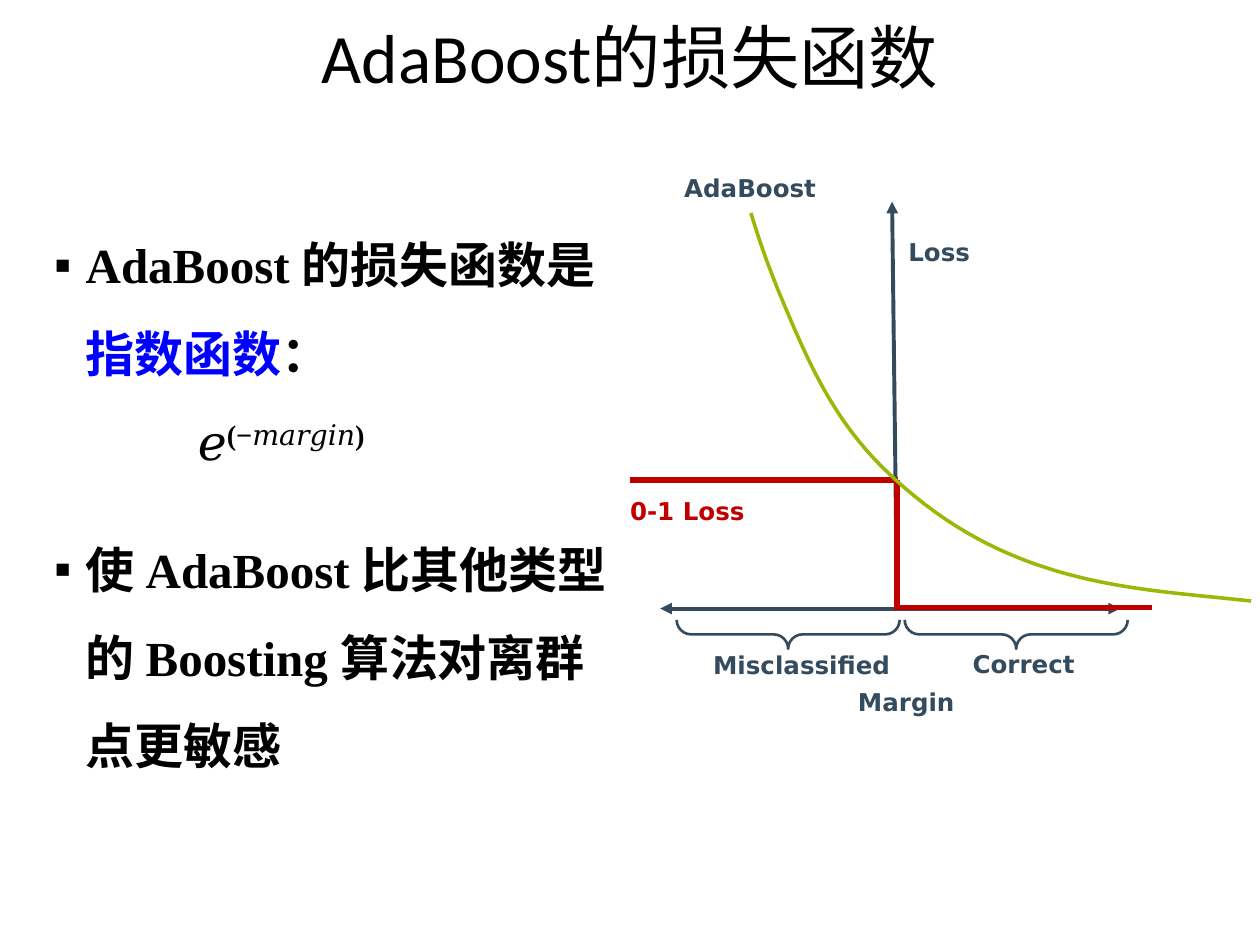
from dataclasses import dataclass
from itertools import pairwise

from lxml.etree import SubElement
from pptx import Presentation
from pptx.dml.color import RGBColor
from pptx.enum.shapes import MSO_CONNECTOR, MSO_SHAPE
from pptx.enum.text import MSO_ANCHOR, MSO_AUTO_SIZE as AutoSize, PP_ALIGN
from pptx.oxml.ns import qn
from pptx.util import Inches, Pt

COLORS = {"text": "000000", "accent": "0000FF", "axis": "344B5E",
          "step": "C00000", "curve": "9BB808"}


@dataclass
class Label:
    text: str
    left: float
    top: float
    width: float
    height: float = 0.25
    color: str = "axis"
    top_inset: float = 0.01
    space_before: float = 1
    indents: tuple[float, ...] = (0.01,)


@dataclass
class Line:
    start: tuple[float, float]
    end: tuple[float, float]
    color: str
    width: float
    ends: tuple[str, ...] = ()


@dataclass
class BodyPara:
    spans: tuple[tuple[str, str], ...]
    margin: float
    space_before: float
    bulleted: bool = True
    raised: int | None = None


@dataclass
class Knot:
    x: float
    y: float
    slope: float


LABELS = [
    Label("Loss", 7.2, 1.87, 0.53),
    Label("0-1 Loss", 4.99, 3.93, 0.95, color="step"),
    Label("Misclassified\nMargin", 5.65, 5.09, 2.14, 0.6,
          top_inset=0.07, space_before=4.5, indents=(0.01, 1.16)),
    Label("Correct", 7.71, 5.14, 0.83),
    Label("AdaBoost", 5.42, 1.36, 1.08),
]
LINES = [
    Line((7.12, 4.83), (7.08, 1.6), "axis", 2.25, ("tailEnd",)),
    Line((5.24, 4.83), (8.89, 4.83), "axis", 2.25, ("headEnd", "tailEnd")),
    Line((7.13, 4.82), (9.14, 4.82), "step", 3),
    Line((7.12, 4.84), (7.12, 3.81), "step", 3),
    Line((5, 3.81), (7.13, 3.81), "step", 3),
]
BODY = [
    BodyPara((("AdaBoost 的损失函数是", "text"), ("指数函数", "accent"),
              ("：", "text")), 0.26, 0.9),
    BodyPara((("𝑒", "text"), ("(−𝑚𝑎𝑟𝑔𝑖𝑛)", "text")), 1.15, 0,
             bulleted=False, raised=1),
    BodyPara((("使 AdaBoost 比其他类型的 Boosting 算法对离群点更敏感", "text"),),
             0.26, 22.8),
]
BRACE_LEFTS = (5.37, 7.18)
CURVE = [Knot(5.96, 1.69, 3.3), Knot(6.2, 2.36, 2.4), Knot(6.47, 2.96, 1.95),
         Knot(7.1, 3.8, 0.92), Knot(8.38, 4.53, 0.3), Knot(9.93, 4.77, 0.11)]


def rgb(name: str) -> RGBColor:
    return RGBColor.from_string(COLORS[name])


def style_font(font, face: str, size: float, color: str, bold: bool) -> None:
    font.name, font.size, font.bold = face, Pt(size), bold
    font.color.rgb = rgb(color)


def place(shape, left: float, top: float, width: float, height: float) -> None:
    shape.left, shape.top = Inches(left), Inches(top)
    shape.width, shape.height = Inches(width), Inches(height)


def set_frame(frame, top_inset: float) -> None:
    frame.margin_left = frame.margin_right = frame.margin_bottom = 0
    frame.margin_top = Inches(top_inset)
    frame.word_wrap = True
    frame.auto_size = AutoSize.SHAPE_TO_FIT_TEXT


def set_indent(para, margin: float, first: float = 0) -> None:
    props = para._p.get_or_add_pPr()
    props.set("marL", str(Inches(margin)))
    props.set("indent", str(Inches(first)))


def write_title(title) -> None:
    place(title, 0.5, 0.05, 9, 0.78)
    title.text_frame.text = "AdaBoost的损失函数"
    title.text_frame.auto_size = AutoSize.NONE
    title.text_frame.vertical_anchor = MSO_ANCHOR.MIDDLE
    para = title.text_frame.paragraphs[0]
    para.alignment = PP_ALIGN.CENTER
    style_font(para.runs[0].font, "Calibri", 39.6, "text", False)


def write_body(body) -> None:
    place(body, 0.42, 1.62, 4.58, 4.49)
    frame = body.text_frame
    set_frame(frame, 0.01)
    frame.text = "\n" * (len(BODY) - 1)
    for item, para in zip(BODY, frame.paragraphs):
        set_indent(para, item.margin, -0.25 if item.bulleted else 0)
        para.line_spacing = 1.5
        para.space_before = Pt(item.space_before)
        props = para._p.get_or_add_pPr()
        if item.bulleted:
            SubElement(props, qn("a:buChar"), char="▪")
        else:
            SubElement(props, qn("a:buNone"))
        for index, (text, color) in enumerate(item.spans):
            span = para.add_run()
            span.text = text
            style_font(span.font, "Times New Roman", 28, color, True)
            if index == item.raised:
                span.font._element.set("baseline", "30000")


def add_label(page, label: Label) -> None:
    box = page.shapes.add_textbox(0, 0, 0, 0)
    place(box, label.left, label.top, label.width, label.height)
    set_frame(box.text_frame, label.top_inset)
    box.text_frame.text = label.text
    for para, indent in zip(box.text_frame.paragraphs, label.indents):
        set_indent(para, indent)
        para.space_before = Pt(label.space_before)
        style_font(para.runs[0].font, "DejaVu Sans", 14, label.color, True)


def add_line(page, line: Line) -> None:
    points = [Inches(value) for value in line.start + line.end]
    connector = page.shapes.add_connector(MSO_CONNECTOR.STRAIGHT, *points)
    connector.line.color.rgb = rgb(line.color)
    connector.line.width = Pt(line.width)
    for end in line.ends:
        SubElement(connector.line._get_or_add_ln(), qn(f"a:{end}"), type="triangle")
    SubElement(connector._element.spPr, qn("a:effectLst"))


def outline(shape, color: str, width: float) -> None:
    shape.shadow.inherit = False
    shape.fill.background()
    shape.line.color.rgb = rgb(color)
    shape.line.width = Pt(width)


def add_brace(page, left: float, top: float = 4.92,
              span: float = 1.77, depth: float = 0.23) -> None:
    """Draw a brace that opens upwards, as a right brace turned by 90 degrees."""
    brace = page.shapes.add_shape(MSO_SHAPE.RIGHT_BRACE, 0, 0, 0, 0)
    place(brace, left + (span - depth) / 2, top - (span - depth) / 2, depth, span)
    brace.rotation = 90
    brace.adjustments[0] = 0.5
    outline(brace, "axis", 1.5)


def hermite(start: Knot, end: Knot, t: float) -> tuple[int, int]:
    """Return a point of the cubic that meets both knots with their slopes."""
    run = end.x - start.x
    y = ((1 + 2 * t) * (1 - t) ** 2 * start.y + t * t * (3 - 2 * t) * end.y
         + run * t * (1 - t) * ((1 - t) * start.slope - t * end.slope))
    return Inches(start.x + run * t), Inches(y)


def add_curve(page, steps: int = 16) -> None:
    points = [hermite(start, end, step / steps)
              for start, end in pairwise(CURVE) for step in range(1, steps + 1)]
    builder = page.shapes.build_freeform(Inches(CURVE[0].x), Inches(CURVE[0].y))
    builder.add_line_segments(points, close=False)
    outline(builder.convert_to_shape(), "curve", 2.04)


def main() -> None:
    deck = Presentation()
    deck.slide_width, deck.slide_height = Inches(10), Inches(7.5)
    page = deck.slides.add_slide(deck.slide_layouts[1])
    write_title(page.shapes.title)
    write_body(page.placeholders[1])
    for line in LINES:
        add_line(page, line)
    for left in BRACE_LEFTS:
        add_brace(page, left)
    add_curve(page)
    for label in LABELS:
        add_label(page, label)
    deck.save("out.pptx")


if __name__ == "__main__":
    main()
